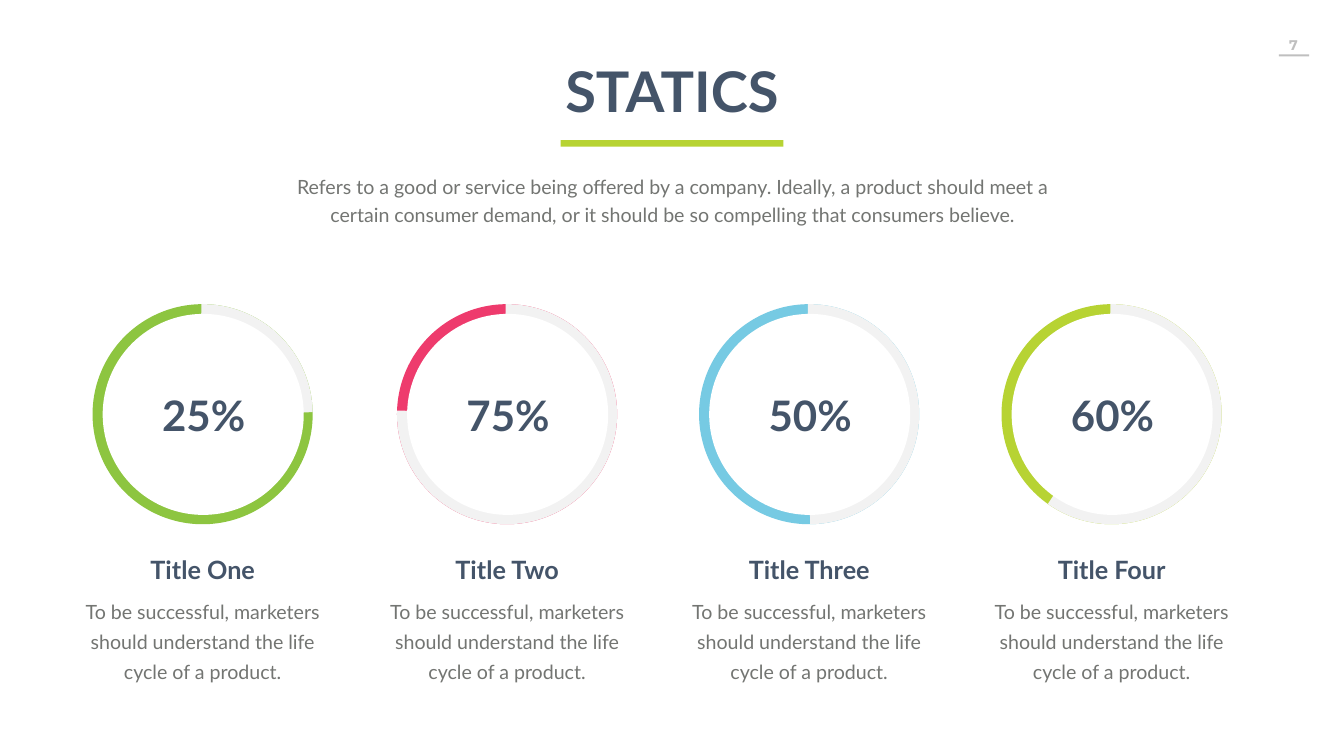
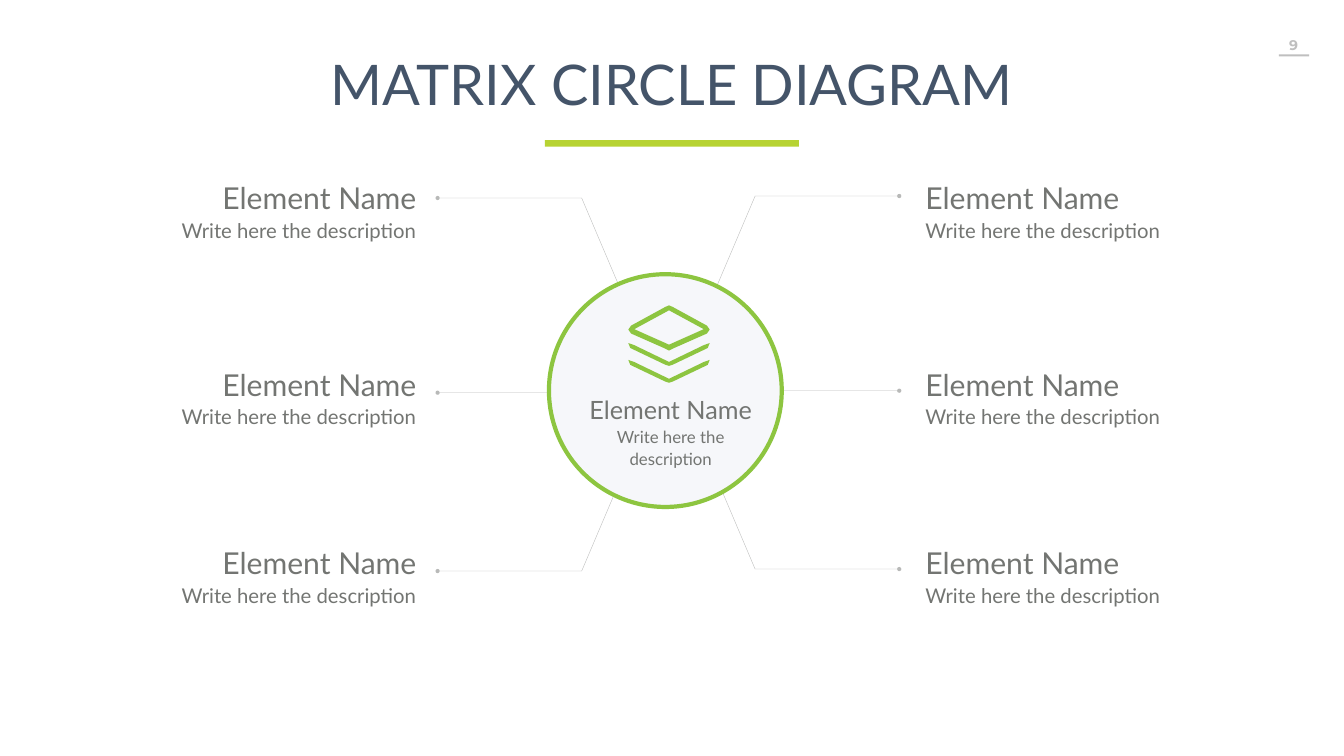
from dataclasses import dataclass

from lxml.etree import SubElement
from pptx import Presentation
from pptx.dml.color import RGBColor
from pptx.enum.shapes import MSO_CONNECTOR, MSO_SHAPE
from pptx.enum.text import MSO_AUTO_SIZE, PP_ALIGN
from pptx.oxml.ns import qn
from pptx.util import Cm, Pt


@dataclass(frozen=True)
class Theme:
    font: str = "Lato"
    number_font: str = "Montserrat"
    navy: str = "445469"
    grey: str = "737572"
    silver: str = "BFBFBF"
    track: str = "F2F2F2"
    mist: str = "F6F7FA"
    white: str = "FFFFFF"
    green: str = "8DC540"
    pink: str = "EE3B6D"
    blue: str = "76CAE3"
    lime: str = "B7D333"
    heading: int = 80
    percent: int = 60
    element: int = 43
    subtitle: int = 36
    detail: int = 29
    body: int = 28
    small: int = 24
    page: int = 20


THEME = Theme()
WIDTH, HEIGHT = 67.72, 38.1


class Deck:
    def __init__(self, theme):
        self.theme = theme
        self.show = Presentation()
        self.show.slide_width, self.show.slide_height = Cm(WIDTH), Cm(HEIGHT)
        self.slide = None

    def new_slide(self, number):
        self.slide = self.show.slides.add_slide(self.show.slide_layouts[6])
        self.text((63.98, 1.57, 2.39, 1.37), [(number, self.theme.page)], self.theme.silver,
                  bold=True, font=self.theme.number_font, wrap=False, margins=(0.51, 0.25))
        self.shape(MSO_SHAPE.RECTANGLE, (64.44, 2.74, 1.52, 0.1), self.theme.silver)

    def heading(self, title, width, height, bar_width, bold=False, spacing=None):
        self.shape(MSO_SHAPE.RECTANGLE, ((WIDTH - bar_width) / 2, 7.06, bar_width, 0.33),
                   self.theme.lime)
        self.text(((WIDTH - width) / 2, 2.74, width, height), [(title, self.theme.heading)],
                  self.theme.navy, bold=bold, spacing=spacing)

    def text(self, box, lines, color, bold=False, font=None, align=PP_ALIGN.CENTER,
             spacing=None, wrap=True, margins=(0.25, 0.13)):
        frame = self.slide.shapes.add_textbox(*map(Cm, box)).text_frame
        frame.word_wrap = wrap
        frame.auto_size = MSO_AUTO_SIZE.SHAPE_TO_FIT_TEXT
        frame.margin_left = frame.margin_right = Cm(margins[0])
        frame.margin_top = frame.margin_bottom = Cm(margins[1])
        frame.text = "\n".join(words for words, _ in lines)
        for paragraph, (_, size) in zip(frame.paragraphs, lines):
            paragraph.alignment = align
            paragraph.line_spacing = spacing
            style = paragraph.runs[0].font
            style.name = font or self.theme.font
            style.size = Pt(size)
            style.bold = bold
            style.color.rgb = RGBColor.from_string(color)

    def paint(self, shape, fill=None, line=None, weight=0):
        shape.shadow.inherit = False
        if fill:
            shape.fill.solid()
            shape.fill.fore_color.rgb = RGBColor.from_string(fill)
        else:
            shape.fill.background()
        if line:
            shape.line.color.rgb = RGBColor.from_string(line)
            shape.line.width = Pt(weight)
        else:
            shape.line.fill.background()

    def shape(self, kind, box, fill, line=None, weight=0):
        shape = self.slide.shapes.add_shape(kind, *map(Cm, box))
        self.paint(shape, fill, line, weight)
        return shape

    def outline(self, contours, closed=True):
        builder = None
        for contour in contours:
            start, *rest = [(Cm(x), Cm(y)) for x, y in contour]
            if builder is None:
                builder = self.slide.shapes.build_freeform(*start)
            else:
                builder.move_to(*start)
            builder.add_line_segments(rest, close=closed)
        return builder.convert_to_shape()

    def leader(self, points):
        if len(points) == 2:
            (x1, y1), (x2, y2) = points
            leader = self.slide.shapes.add_connector(
                MSO_CONNECTOR.STRAIGHT, Cm(x1), Cm(y1), Cm(x2), Cm(y2))
            SubElement(leader.line._get_or_add_ln().getparent(), qn("a:effectLst"))
        else:
            leader = self.outline([points], closed=False)
            self.paint(leader)
        leader.line.color.rgb = RGBColor.from_string(self.theme.grey)
        leader.line.width = Pt(0.5)
        ln = leader.line._get_or_add_ln()
        SubElement(ln.find(".//" + qn("a:srgbClr")), qn("a:alpha"), val="50000")
        SubElement(ln, qn("a:tailEnd"), type="oval")

    def ring(self, center, top, color, end_angle):
        size, weight = 10.21, 25
        box = (center - size / 2, top, size, size)
        self.shape(MSO_SHAPE.OVAL, box, self.theme.white, color, weight)
        track = self.shape(MSO_SHAPE.ARC, box, self.theme.white, self.theme.track, weight)
        track.adjustments[0] = 269.26 * 0.6
        track.adjustments[1] = end_angle * 0.6
        self.shape(MSO_SHAPE.OVAL, (box[0] + 0.07, top + 0.05, 10.13, 10.13), self.theme.white)

    def layers(self, center, top):
        rim = [(0, 0), (0.19, 0.08), (1.91, 1.02), (2.05, 1.22), (1.91, 1.42),
               (0.19, 2.18), (0, 2.28)]
        opening = [(0, 0.25), (1.75, 1.2), (0, 1.98)]
        chevron = [(0, 2.85), (1.76, 2), (2.05, 1.9), (1.95, 2.15), (0.19, 2.99), (0, 3.05)]
        lower = [(x, y + 0.85) for x, y in chevron]
        contours = []
        for half in (rim, opening, chevron, lower):
            whole = half + [(-x, y) for x, y in reversed(half[1:-1])]
            contours.append([(center + x, top + y) for x, y in whole])
        self.paint(self.outline(contours), self.theme.green)

    def element(self, box, sizes, align):
        lines = zip(("Element Name", "Write here the description"), sizes)
        self.text(box, list(lines), self.theme.grey, align=align, spacing=1.1, margins=(0, 0.25))


def statistics(deck):
    theme = deck.theme
    deck.new_slide("7")
    deck.text((14.48, 8.41, 38.81, 3.02), [(
        "Refers to a good or service being offered by a company. Ideally, a product should meet a "
        "certain consumer demand, or it should be so compelling that consumers believe.",
        theme.body)], theme.grey, spacing=Pt(40.8))
    deck.heading("STATICS", 16.97, 3.68, 11.23, bold=True)
    columns = [
        (10.21, "25%", "Title One", theme.green, 358.99),
        (25.55, "75%", "Title Two", theme.pink, 181.94),
        (40.77, "50%", "Title Three", theme.blue, 89.52),
        (56.01, "60%", "Title Four", theme.lime, 125.5),
    ]
    for center, percent, title, color, end_angle in columns:
        deck.ring(center, 15.77, color, end_angle)
        deck.text((center - 2.34, 19.48, 4.78, 2.82), [(percent, theme.percent)], theme.navy,
                  bold=True, wrap=False)
        deck.text((center - 5.86, 27.79, 11.73, 1.8), [(title, theme.subtitle)], theme.navy,
                  bold=True)
        deck.text((center - 6.2, 29.77, 12.4, 4.85), [(
            "To be successful, marketers should understand the life cycle of a product.",
            theme.body)], theme.grey, spacing=Pt(43))


def matrix_circle(deck):
    theme = deck.theme
    deck.new_slide("9")
    axis = 33.68
    leaders = [
        [(0.63, -1.01), (4.37, -9.81), (11.63, -9.81)],
        [(0.63, 0.18), (4.37, 8.99), (11.63, 8.99)],
        [(5.71, 0), (11.63, 0)],
    ]
    for side, middle in ((-1, 19.79), (1, 19.69)):
        for points in leaders:
            deck.leader([(axis + side * x, middle + y) for x, y in points])
    deck.shape(MSO_SHAPE.OVAL, (27.66, 13.82, 11.73, 11.73), theme.mist, theme.green, 6)
    for left, align in ((8.38, PP_ALIGN.RIGHT), (46.63, PP_ALIGN.LEFT)):
        for top in (8.61, 18.01, 27.03):
            deck.element((left, top, 12.6, 3.89), (theme.element, theme.detail), align)
    deck.layers(33.71, 15.39)
    deck.element((29.06, 19.46, 9.47, 4.42), (theme.subtitle, theme.small), PP_ALIGN.CENTER)
    deck.heading("MATRIX CIRCLE DIAGRAM", 59.89, 3.33, 12.8, spacing=0.9)


def main():
    deck = Deck(THEME)
    statistics(deck)
    matrix_circle(deck)
    deck.show.save("out.pptx")


if __name__ == "__main__":
    main()
